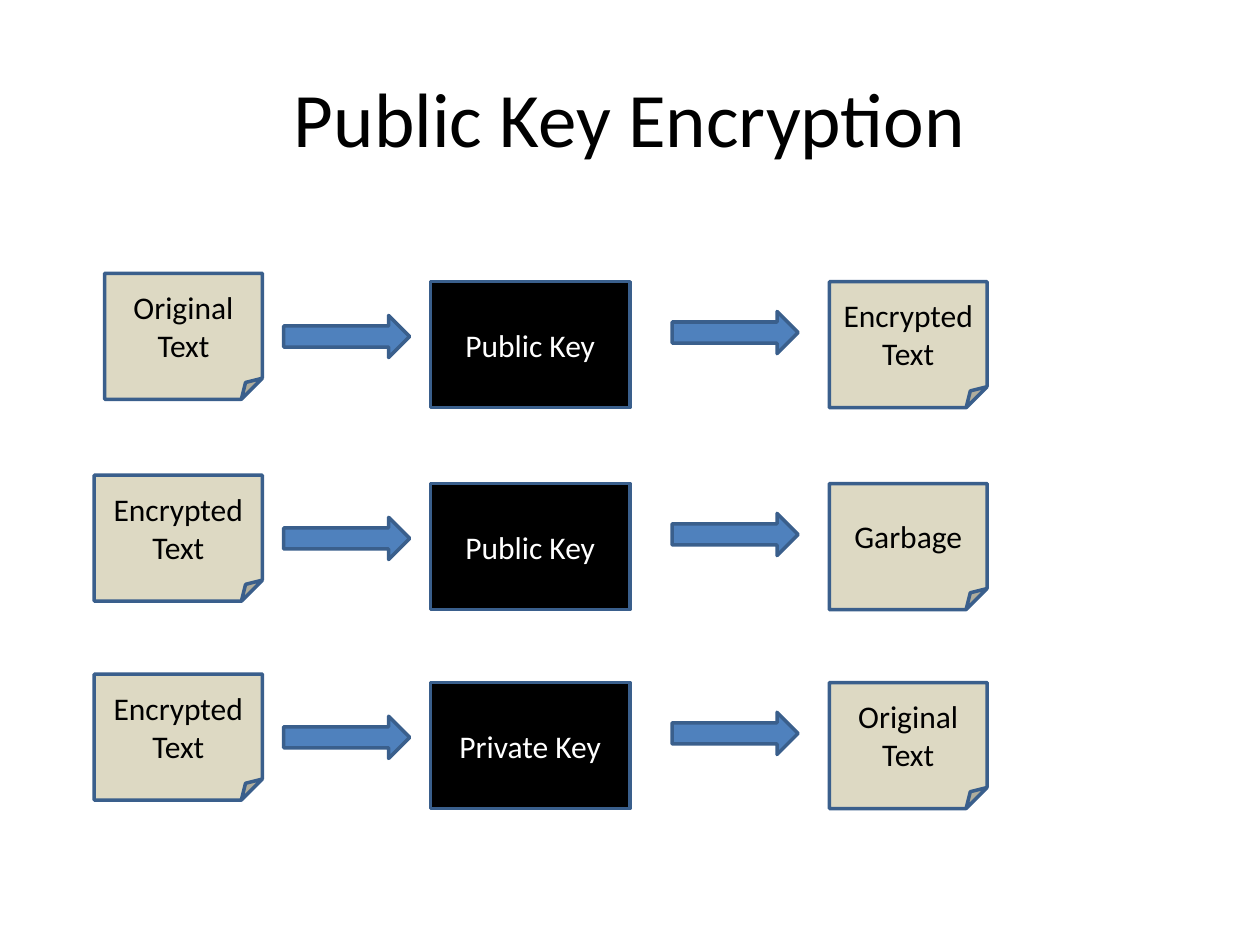
from pptx import Presentation
from pptx import util as u
from pptx.dml.color import RGBColor
from pptx.enum import shapes, text

COLOURS = {
    "ink": "000000",
    "paper": "DDD9C3",
    "key": "000000",
    "key_text": "FFFFFF",
    "arrow": "4F81BD",
    "outline": "3A5F8C",
}
ROWS = [
    (5.51, 2.11, "Original\nText", "Public Key", "Encrypted\nText"),
    (9.58, 1.9, "Encrypted\nText", "Public Key", "Garbage"),
    (13.59, 1.9, "Encrypted\nText", "Private Key", "Original\nText"),
]
BOX_HEIGHT = 2.54
INPUT_RIGHT = 5.29
BOX_DROP = 0.17


def colour(name):
    return RGBColor.from_string(COLOURS[name])


def write_text(shape, content, size=18, ink="ink", font="Calibri"):
    frame = shape.text_frame
    frame.word_wrap = True
    frame.vertical_anchor = text.MSO_ANCHOR.MIDDLE
    frame.text = content
    for paragraph in frame.paragraphs:
        paragraph.alignment = text.PP_ALIGN.CENTER
        for run in paragraph.runs:
            run.font.name = font
            run.font.size = u.Pt(size)
            run.font.color.rgb = colour(ink)


class EncryptionSlide:
    """Draw the elements of the encryption diagram in one shared style."""

    line_width = u.Pt(2)

    def __init__(self, slide):
        self.slide = slide

    def title(self, content, left, top, width, height):
        box = self.slide.shapes.add_textbox(
            u.Cm(left), u.Cm(top), u.Cm(width), u.Cm(height))
        write_text(box, content, size=44)

    def outlined(self, kind, fill, left, top, width, height):
        shape = self.slide.shapes.add_shape(
            kind, u.Cm(left), u.Cm(top), u.Cm(width), u.Cm(height))
        shape.shadow.inherit = False
        shape.fill.solid()
        shape.fill.fore_color.rgb = colour(fill)
        shape.line.color.rgb = colour("outline")
        shape.line.width = self.line_width
        return shape

    def note(self, content, left, top, width):
        shape = self.outlined(
            shapes.MSO_SHAPE.FOLDED_CORNER, "paper", left, top, width, BOX_HEIGHT)
        write_text(shape, content)

    def key(self, content, left, top, width):
        shape = self.outlined(
            shapes.MSO_SHAPE.RECTANGLE, "key", left, top, width, BOX_HEIGHT)
        write_text(shape, content, ink="key_text")

    def arrow(self, left, top):
        self.outlined(
            shapes.MSO_SHAPE.RIGHT_ARROW, "arrow", left, top, 2.54, 0.85)


def main():
    presentation = Presentation()
    presentation.slide_width = u.Cm(25.4)
    presentation.slide_height = u.Cm(19.05)
    slide = presentation.slides.add_slide(presentation.slide_layouts[6])
    diagram = EncryptionSlide(slide)
    diagram.title("Public Key Encryption", 1.27, 0.76, 22.86, 3.18)
    for top, left, source, key, result in ROWS:
        diagram.note(source, left, top, INPUT_RIGHT - left)
        diagram.arrow(5.72, top + 0.85)
        diagram.key(key, 8.68, top + BOX_DROP, 4.02)
        diagram.arrow(13.55, top + 0.77)
        diagram.note(result, 16.72, top + BOX_DROP, 3.18)
    presentation.save("out.pptx")


if __name__ == "__main__":
    main()
